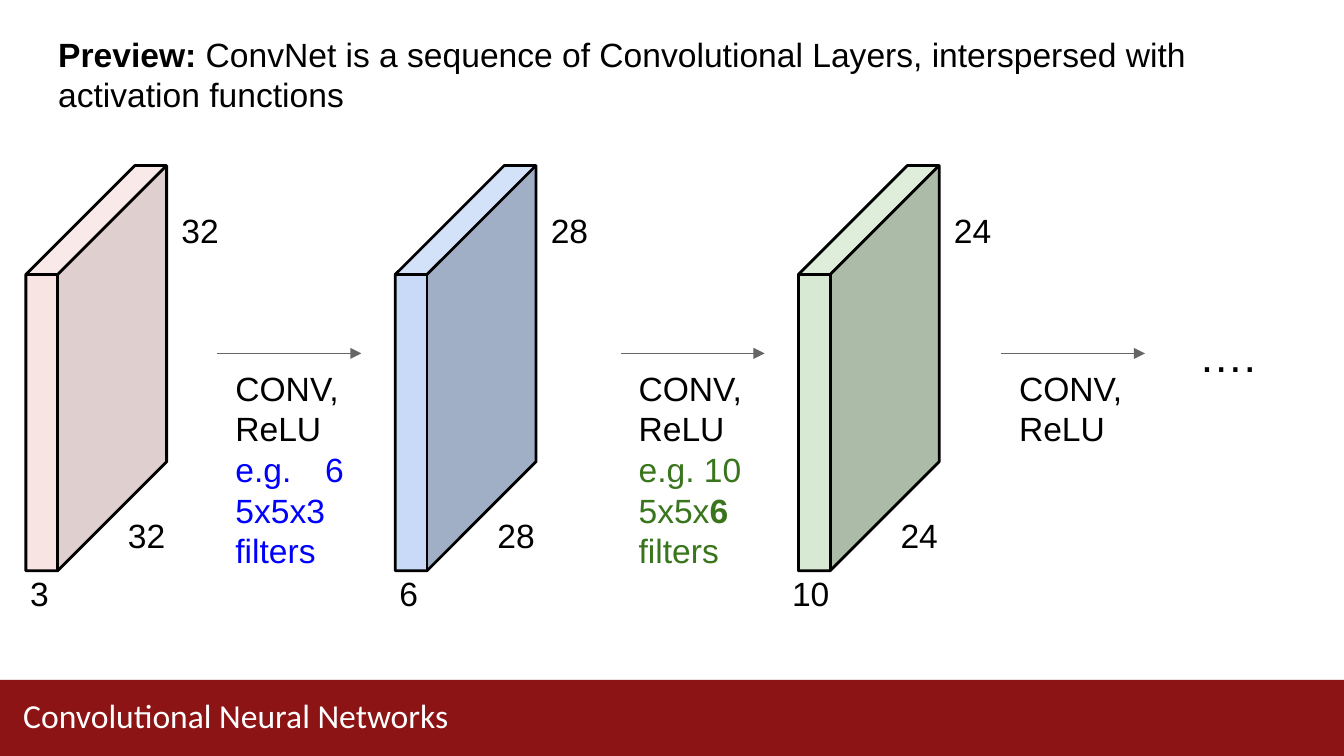
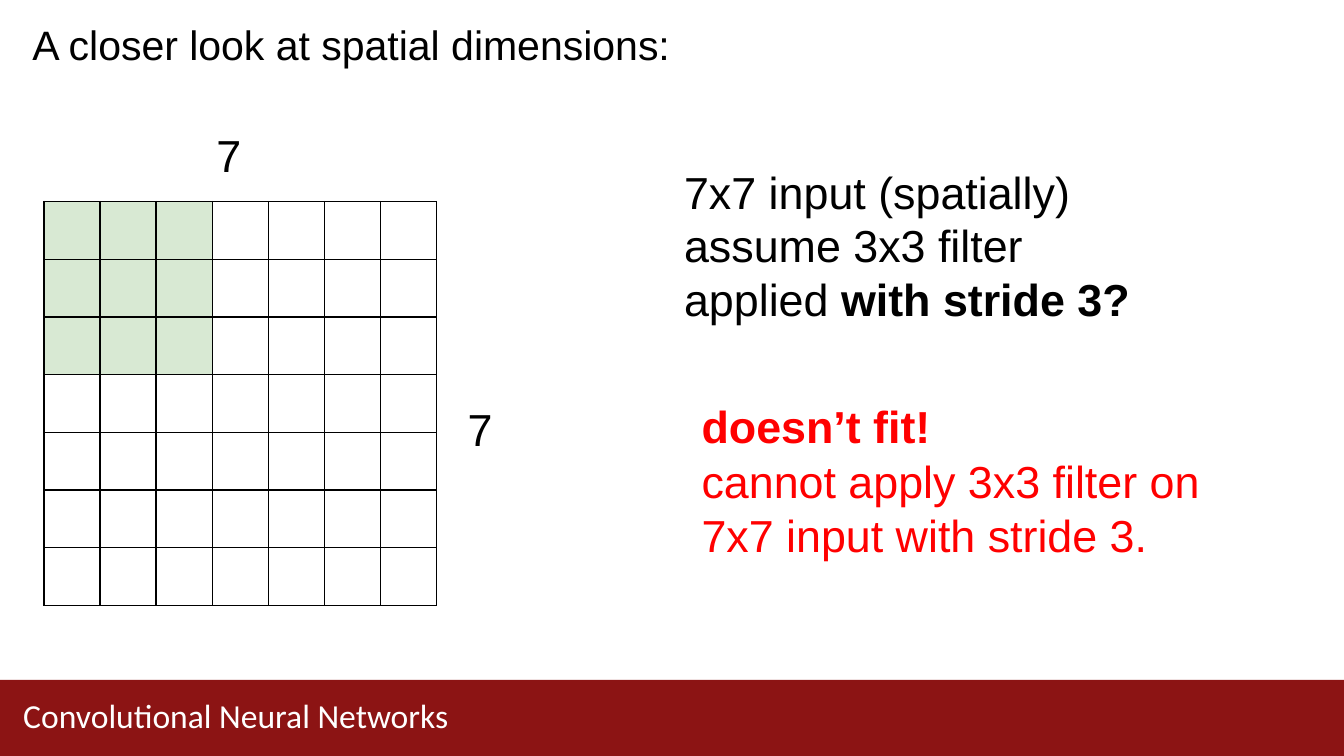
from lxml import etree
from pptx import Presentation
from pptx.dml.color import RGBColor
from pptx.enum.shapes import MSO_CONNECTOR, MSO_SHAPE
from pptx.enum.text import MSO_ANCHOR, MSO_AUTO_SIZE, PP_ALIGN
from pptx.oxml.ns import qn
from pptx.util import Cm, Pt

STRAIGHT = MSO_CONNECTOR.STRAIGHT
RECT = MSO_SHAPE.RECTANGLE
TOP = MSO_ANCHOR.TOP
FIXED = MSO_AUTO_SIZE.NONE
LEFT, JUSTIFY = PP_ALIGN.LEFT, PP_ALIGN.JUSTIFY

BLACK, WHITE, GREY = "000000", "FFFFFF", "666666"
MAROON, RED, BLUE, GREEN = "8C1414", "FF0000", "0000FF", "38751C"
MINT = "D8E9D3"
WIDE, HIGH = 25.4, 14.29


def ink(code):
    return RGBColor.from_string(code)


def run(text, color=BLACK, bold=False):
    return text, color, bold


class Deck:
    """Holds the shared style and the slide being drawn."""

    def __init__(self):
        self.prs = Presentation()
        self.prs.slide_width = Cm(WIDE)
        self.prs.slide_height = Cm(HIGH)
        self.slide = None

    def start(self):
        """Adds a slide with the footer band."""
        self.slide = self.prs.slides.add_slide(self.prs.slide_layouts[5])
        band = self.slide.shapes.add_shape(
            RECT, Cm(0), Cm(12.85), Cm(WIDE), Cm(1.44))
        band.shadow.inherit = False
        band.fill.solid()
        band.fill.fore_color.rgb = ink(MAROON)
        band.line.fill.background()
        self.text((0.41, 13.16, 13.06, 0.74),
                  [[run("Convolutional Neural Networks", WHITE)]],
                  lead=Pt(20.9), font="Calibri", inset=(0.03, 0))

    def place(self, shape, box):
        shape.left, shape.top, shape.width, shape.height = map(Cm, box)

    def fill_text(self, shape, paras, size, lead, inset, font="Arial",
                  aligns=(), gap=0):
        frame = shape.text_frame
        frame.word_wrap = True
        frame.auto_size = FIXED
        frame.vertical_anchor = TOP
        frame.margin_left, frame.margin_top = map(Cm, inset)
        frame.margin_right = frame.margin_bottom = 0
        for i, runs in enumerate(paras):
            para = frame.add_paragraph() if i else frame.paragraphs[0]
            para.alignment = aligns[i] if aligns else LEFT
            para.line_spacing = lead
            para.space_before = Pt(gap if i else 0)
            for words, color, bold in runs:
                part = para.add_run()
                part.text = words
                part.font.name = font
                part.font.size = Pt(size)
                part.font.bold = bold
                part.font.color.rgb = ink(color)

    def title(self, box, runs, size, lead=1.0, inset=(0.03, 0.03)):
        shape = self.slide.shapes.title
        self.place(shape, box)
        self.fill_text(shape, [runs], size, lead, inset)

    def text(self, box, paras, size=18, lead=1.0, inset=(0.03, 0.03), **more):
        shape = self.slide.shapes.add_textbox(*map(Cm, box))
        self.fill_text(shape, paras, size, lead, inset, **more)

    def label(self, x, y, words, size=18, box=(0.79, 0.84)):
        self.text((x, y, *box), [[run(words)]], size)

    def outline(self, shapes, *paths):
        """Makes one freeform of several paths, the first of them closed."""
        pen = None
        for path in paths:
            points = [(Cm(x), Cm(y)) for x, y in path]
            if pen is None:
                pen = shapes.build_freeform(*points[0])
            else:
                pen.move_to(*points[0])
            pen.add_line_segments(points[1:], close=path is paths[0])
        shape = pen.convert_to_shape()
        shape.shadow.inherit = False
        return shape

    def face(self, shapes, points, color, alpha):
        shape = self.outline(shapes, points)
        shape.line.fill.background()
        shape.fill.solid()
        shape.fill.fore_color.rgb = ink(color)
        if alpha:
            tone = shape._element.spPr.find(".//" + qn("a:srgbClr"))
            etree.SubElement(tone, qn("a:alpha")).set("val", str(alpha * 1000))

    def block(self, x, colors, alpha=None):
        """Draws a slab; colors are those of its front, side and top."""
        thick, deep, top, base = 0.6, 2.06, 5.19, 10.79
        a, b = (x, top), (x + thick, top)
        c, d = (x + thick, base), (x, base)
        back_a, back_b, back_c = (
            (px + deep, py - deep) for px, py in (a, b, c))
        shapes = self.slide.shapes.add_group_shape().shapes
        faces = (a, b, c, d), (b, back_b, back_c, c), (a, back_a, back_b, b)
        for points, color in zip(faces, colors):
            self.face(shapes, points, color, alpha)
        edge = self.outline(shapes, (a, back_a, back_b, back_c, c, d),
                            (a, b, back_b), (b, c))
        edge.fill.background()
        edge.line.color.rgb = ink(BLACK)
        edge.line.width = Pt(1.5)

    def arrow(self, x, y, size):
        line = self.slide.shapes.add_connector(
            STRAIGHT, Cm(x), Cm(y), Cm(x + size), Cm(y))
        line.line.color.rgb = ink(GREY)
        line.line.width = Pt(0.75)
        props = line._element.spPr
        etree.SubElement(props.find(qn("a:ln")), qn("a:tailEnd"),
                         type="triangle")
        etree.SubElement(props, qn("a:effectLst"))

    def border(self, cell):
        props = cell._tc.get_or_add_tcPr()
        for side in "LRTB":
            line = etree.SubElement(props, qn("a:ln" + side),
                                    w=str(int(Pt(0.75))))
            fill = etree.SubElement(line, qn("a:solidFill"))
            etree.SubElement(fill, qn("a:srgbClr"), val=BLACK)

    def grid(self, x, y, count, wide, high, mark):
        """Draws a square table whose first mark rows and columns are tinted."""
        table = self.slide.shapes.add_table(
            count, count, Cm(x), Cm(y),
            Cm(wide * count), Cm(high * count)).table
        table.first_row = table.horz_banding = False
        for col in table.columns:
            col.width = Cm(wide)
        for r, row in enumerate(table.rows):
            row.height = Cm(high)
            for c, cell in enumerate(row.cells):
                self.border(cell)
                if max(r, c) < mark:
                    cell.fill.solid()
                    cell.fill.fore_color.rgb = ink(MINT)
                else:
                    cell.fill.background()


def layers(deck):
    deck.start()
    deck.title((0.64, 0, 24.16, 2.56), [
        run("Preview: ", bold=True),
        run("ConvNet is a sequence of Convolutional Layers, interspersed "
            "with activation functions")], 18, 1.01, (0.46, 0.63))

    blocks = (
        (0.49, ("F4CCCC", "C3A3A3", "F6D6D6"), 52, "32", "3", 0.05),
        (7.47, ("C8DAF7", "A0AEC6", "D3E1F9"), None, "28", "6", 0.05),
        (15.09, (MINT, "ACBAA8", "DFEDDB"), None, "24", "10", -0.15),
    )
    for x, colors, alpha, side, depth, shift in blocks:
        deck.block(x, colors, alpha)
        deck.label(x + 1.9, 9.7, side)
        deck.label(x + 2.91, 3.94, side)
        deck.label(x + shift, 10.8, depth)

    steps = (
        (4.11, 3.91, [[run("e.g. 6 5x5x3 filters", BLUE)]], (LEFT, JUSTIFY)),
        (11.73, 3.91, [[run("e.g. 10 5x5x", GREEN), run("6 ", GREEN, True),
                        run("filters", GREEN)]], ()),
        (18.92, 1.6, [], ()),
    )
    for x, high, extra, aligns in steps:
        deck.arrow(x, 6.68, 2.72)
        deck.text((x + 0.31, 6.91, 2.08, high),
                  [[run("CONV, ReLU")], *extra], lead=1.01, aligns=aligns)
    deck.label(22.63, 6.17, "….", 24, (1.14, 1.09))


def stride(deck):
    deck.start()
    deck.title((0.58, 0.33, 12.19, 0.99),
               [run("A closer look at spatial dimensions:")], 22)
    deck.text((12.9, 3.05, 8.48, 3.1), [[
        run("7x7 input (spatially) assume 3x3 filter applied "),
        run("with stride 3?", bold=True)]],
        24, Pt(28.5), (0.03, 0.08))
    for x, y in ((4.06, 2.39), (8.81, 7.57)):
        deck.label(x, y, "7", 24, (0.53, 1.09))
    deck.grid(0.83, 3.81, 7, 1.06, 1.09, 3)
    deck.text((13.23, 7.52, 9.47, 3.1), [
        [run("doesn’t fit!", RED, True)],
        [run("cannot apply 3x3 filter on 7x7 input with stride 3.", RED)]],
        24, Pt(28.5), gap=1.1)


def main():
    deck = Deck()
    layers(deck)
    stride(deck)
    deck.prs.save("out.pptx")


if __name__ == "__main__":
    main()
